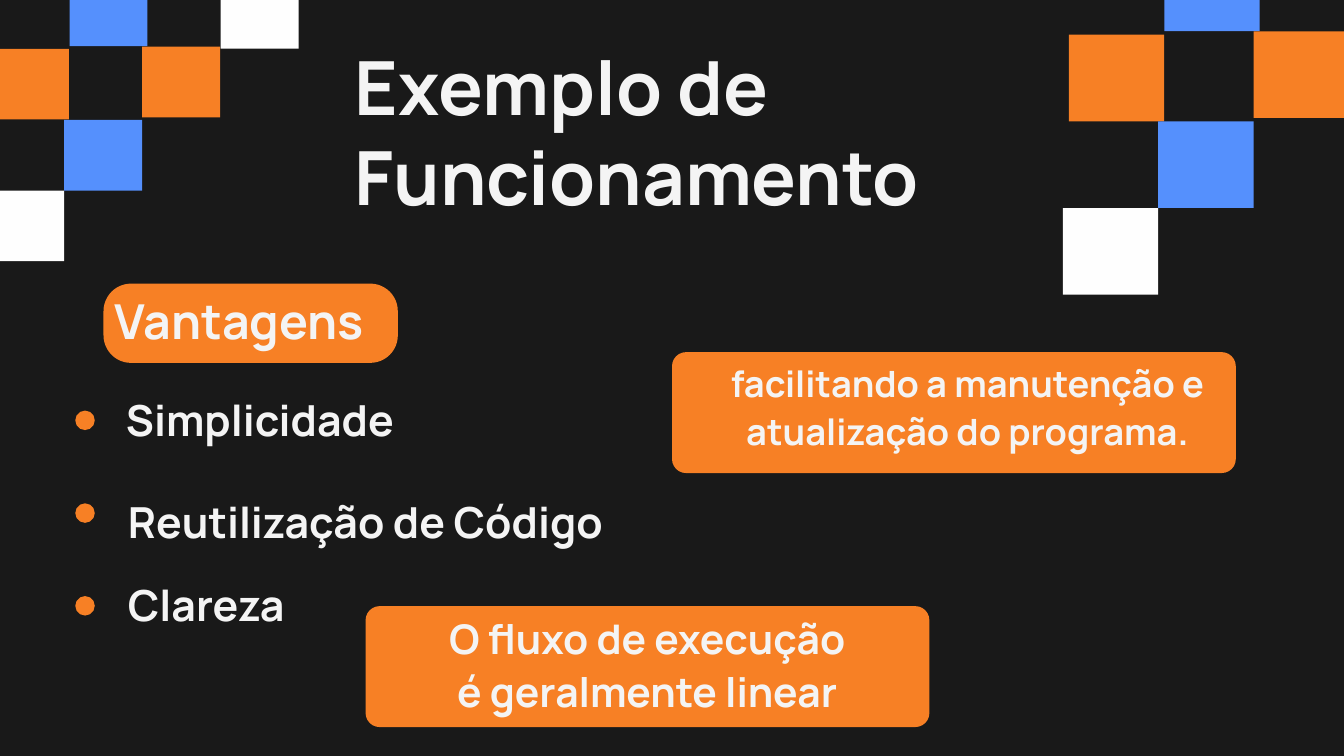
from dataclasses import dataclass

from pptx import Presentation
from pptx.dml.color import RGBColor
from pptx.enum.shapes import MSO_SHAPE
from pptx.enum.text import MSO_AUTO_SIZE, PP_ALIGN
from pptx.shapes.autoshape import Shape
from pptx.slide import Slide
from pptx.util import Inches, Pt

RECTANGLE = MSO_SHAPE.RECTANGLE
ROUNDED = MSO_SHAPE.ROUNDED_RECTANGLE
OVAL = MSO_SHAPE.OVAL
LEFT = PP_ALIGN.LEFT
CENTER = PP_ALIGN.CENTER
GROW = MSO_AUTO_SIZE.SHAPE_TO_FIT_TEXT


@dataclass(frozen=True)
class Theme:
    background: str = "191919"
    orange: str = "F78025"
    blue: str = "5590FD"
    white: str = "FEFEFE"
    text: str = "F4F4F4"
    font: str = "Manrope"
    title_size: float = 80
    heading_size: float = 51.6
    item_size: float = 45.8
    upper_note_size: float = 38.8
    lower_note_size: float = 43.7


THEME = Theme()


@dataclass(frozen=True)
class Area:
    left: float
    top: float
    width: float
    height: float


@dataclass(frozen=True)
class Label:
    text: str
    area: Area
    size: float
    line_spacing: float
    align: PP_ALIGN = CENTER


@dataclass(frozen=True)
class Panel:
    area: Area
    radius: float
    label: Label


@dataclass(frozen=True)
class Tile:
    left: float
    top: float
    color: str


@dataclass(frozen=True)
class Mosaic:
    width: float
    height: float
    tiles: tuple[Tile, ...]


# Content
TITLE = Label("Exemplo de Funcionamento", Area(5.28, 0.61, 9.43, 4.08),
              THEME.title_size, 96, LEFT)

ITEMS = [
    Label(text, Area(left, top, width, 0.84), THEME.item_size, 59.5)
    for text, left, top, width in (
        ("Simplicidade", 1.71, 5.79, 4.32),
        ("Reutilização de Código", 1.71, 7.32, 7.46),
        ("Clareza", 1.61, 8.55, 2.92),
    )
]
DOT = Area(1.12, 6.11, 0.29, 0.29)
DOT_STEP = 1.38

PANELS = [
    Panel(Area(1.54, 4.22, 4.38, 1.18), 0.41,
          Label("Vantagens", Area(1.71, 4.34, 4.15, 0.9),
                THEME.heading_size, 61.9, LEFT)),
    Panel(Area(10, 5.24, 8.39, 1.8), 0.21,
          Label("facilitando a manutenção e atualização do programa.",
                Area(10.4, 5.33, 7.99, 1.42), THEME.upper_note_size, 50.4)),
    Panel(Area(5.44, 9.02, 8.39, 1.8), 0.21,
          Label("O fluxo de execução é geralmente linear",
                Area(6.51, 9.07, 6.24, 1.6), THEME.lower_note_size, 56.8)),
]

MOSAICS = [
    Mosaic(1.05, 1.16, (
        Tile(-0.08, 0.67, THEME.orange),
        Tile(1.09, -0.42, THEME.blue),
        Tile(1.01, 1.73, THEME.blue),
        Tile(-0.15, 2.78, THEME.white),
        Tile(2.17, 0.64, THEME.orange),
        Tile(3.34, -0.38, THEME.white),
    )),
    Mosaic(1.29, 1.42, (
        Tile(15.97, 0.45, THEME.orange),
        Tile(17.39, -0.89, THEME.blue),
        Tile(17.3, 1.74, THEME.blue),
        Tile(15.88, 3.03, THEME.white),
        Tile(18.72, 0.4, THEME.orange),
    )),
]


def add_block(page: Slide, kind: MSO_SHAPE, area: Area, color: str) -> Shape:
    block = page.shapes.add_shape(kind, Inches(area.left), Inches(area.top),
                                  Inches(area.width), Inches(area.height))
    block.shadow.inherit = False
    block.fill.solid()
    block.fill.fore_color.rgb = RGBColor.from_string(color)
    block.line.fill.background()
    return block


def add_label(page: Slide, label: Label) -> None:
    area = label.area
    box = page.shapes.add_textbox(Inches(area.left), Inches(area.top),
                                  Inches(area.width), Inches(area.height))
    frame = box.text_frame
    frame.margin_left = frame.margin_right = Inches(0)
    frame.margin_top = frame.margin_bottom = Inches(0)
    frame.word_wrap = True
    frame.auto_size = GROW
    para = frame.paragraphs[0]
    para.alignment = label.align
    para.line_spacing = Pt(label.line_spacing)
    span = para.add_run()
    span.text = label.text
    span.font.name = THEME.font
    span.font.size = Pt(label.size)
    span.font.bold = True
    span.font.color.rgb = RGBColor.from_string(THEME.text)


def add_panel(page: Slide, panel: Panel) -> None:
    block = add_block(page, ROUNDED, panel.area, THEME.orange)
    block.adjustments[0] = panel.radius / panel.area.height
    add_label(page, panel.label)


def add_mosaic(page: Slide, mosaic: Mosaic) -> None:
    for tile in mosaic.tiles:
        area = Area(tile.left, tile.top, mosaic.width, mosaic.height)
        add_block(page, RECTANGLE, area, tile.color).rotation = 270


def main() -> None:
    deck = Presentation()
    deck.slide_width = Inches(20)
    deck.slide_height = Inches(11.25)
    page = deck.slides.add_slide(deck.slide_layouts[6])
    page.background.fill.solid()
    page.background.fill.fore_color.rgb = RGBColor.from_string(THEME.background)

    # Title and corner mosaics
    add_label(page, TITLE)
    for mosaic in MOSAICS:
        add_mosaic(page, mosaic)

    # List of advantages
    for index, item in enumerate(ITEMS):
        dot = Area(DOT.left, DOT.top + index * DOT_STEP, DOT.width, DOT.height)
        add_block(page, OVAL, dot, THEME.orange)
        add_label(page, item)

    # Heading and notes on orange panels
    for panel in PANELS:
        add_panel(page, panel)

    deck.save("out.pptx")


if __name__ == "__main__":
    main()
